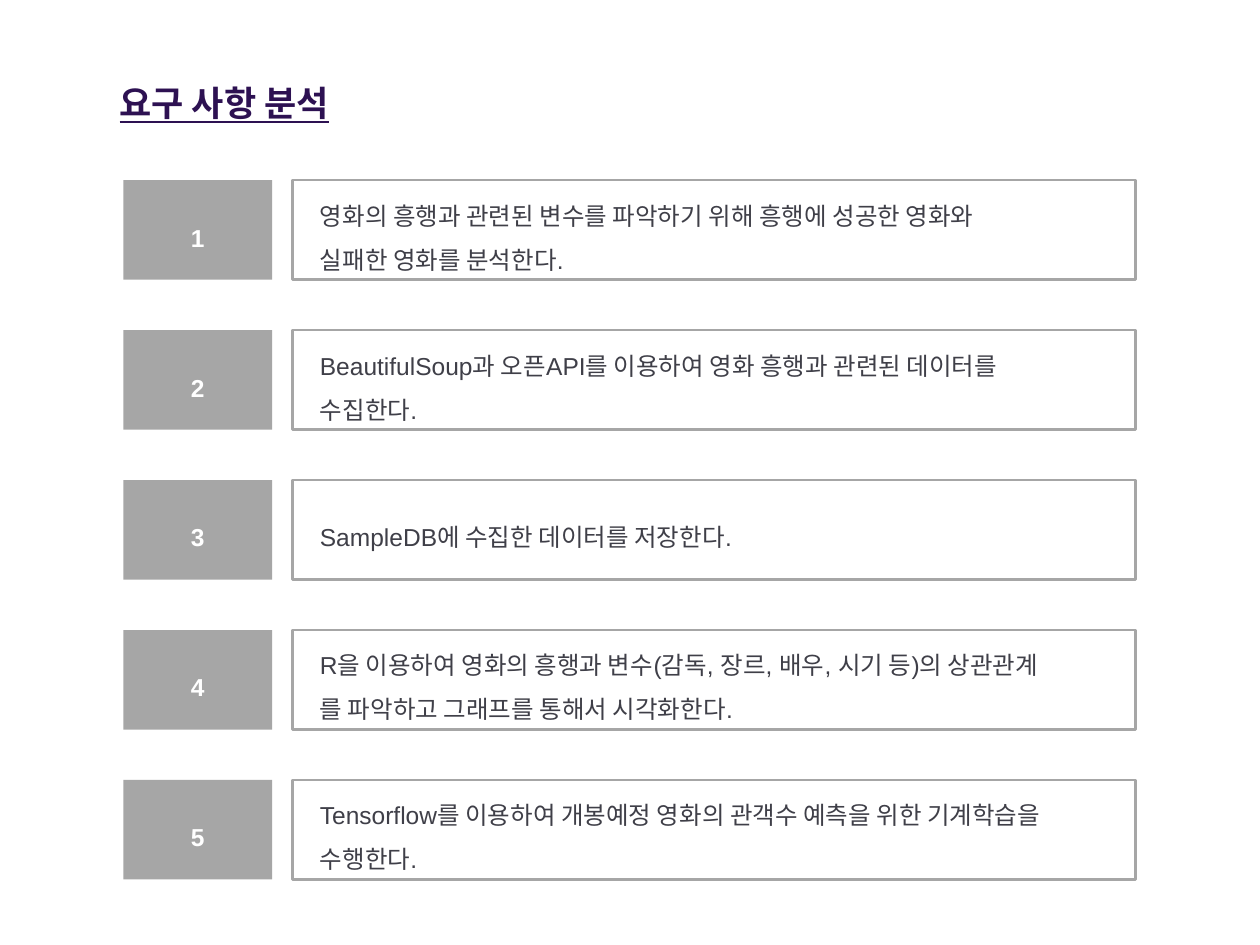
"""Builds the requirements analysis slide with five numbered rows."""
from pptx import Presentation
from pptx.dml.color import RGBColor
from pptx.enum.shapes import MSO_SHAPE
from pptx.enum.text import MSO_ANCHOR, PP_ALIGN
from pptx.util import Inches, Pt

WHITE = RGBColor(0xFF, 0xFF, 0xFF)
GRAY = RGBColor(0xA6, 0xA6, 0xA6)
DARK = RGBColor(0x3F, 0x3F, 0x48)
PURPLE = RGBColor(0x2D, 0x11, 0x52)

FIRST_TOP, ROW_STEP, ROW_HEIGHT = 1.43, 1.19, 0.79

REQUIREMENTS = [
    ["영화의 흥행과 관련된 변수를 파악하기 위해 흥행에 성공한 영화와 ",
     "실패한 영화를 분석한다."],
    ["BeautifulSoup과 오픈API를 이용하여 영화 흥행과 관련된 데이터를 ",
     "수집한다."],
    ["SampleDB에 수집한 데이터를 저장한다."],
    ["R을 이용하여 영화의 흥행과 변수(감독, 장르, 배우, 시기 등)의 상관관계",
     "를 파악하고 그래프를 통해서 시각화한다."],
    ["Tensorflow를 이용하여 개봉예정 영화의 관객수 예측을 위한 기계학습을 ",
     "수행한다."],
]


def write_text(shape, lines, size=14, color=DARK, bold=False, underline=False,
               align=PP_ALIGN.LEFT, spacing=1.5, indent=0, anchor=MSO_ANCHOR.MIDDLE):
    frame = shape.text_frame
    frame.word_wrap = True
    frame.vertical_anchor = anchor
    for index, line in enumerate(lines):
        paragraph = frame.add_paragraph() if index else frame.paragraphs[0]
        paragraph.alignment = align
        paragraph.line_spacing = spacing
        if indent:
            properties = paragraph._p.get_or_add_pPr()
            properties.set("marL", str(Inches(indent)))
            properties.set("indent", "0")
        run = paragraph.add_run()
        run.text = line
        run.font.name = "Arial"
        run.font.size = Pt(size)
        run.font.bold = bold
        run.font.underline = underline
        run.font.color.rgb = color


def add_box(shapes, left, top, width):
    box = shapes.add_shape(MSO_SHAPE.RECTANGLE, Inches(left), Inches(top),
                           Inches(width), Inches(ROW_HEIGHT))
    box.shadow.inherit = False
    return box


presentation = Presentation()
presentation.slide_width = Inches(10)
presentation.slide_height = Inches(7.5)
slide = presentation.slides.add_slide(presentation.slide_layouts[6])

for row, lines in enumerate(REQUIREMENTS):
    top = FIRST_TOP + row * ROW_STEP
    group = slide.shapes.add_group_shape()

    number_box = add_box(group.shapes, 0.98, top, 1.18)
    number_box.fill.solid()
    number_box.fill.fore_color.rgb = GRAY
    number_box.line.fill.background()
    write_text(number_box, [str(row + 1)], color=WHITE, bold=True, align=PP_ALIGN.CENTER)

    requirement_box = add_box(group.shapes, 2.32, top, 6.69)
    requirement_box.fill.background()
    requirement_box.line.color.rgb = GRAY
    requirement_box.line.width = Pt(1.5)
    write_text(requirement_box, lines, indent=0.12)

title = slide.shapes.add_textbox(Inches(0.85), Inches(0.6), Inches(4.82), Inches(0.44))
write_text(title, ["요구 사항 분석"], size=20, color=PURPLE, bold=True, underline=True,
           spacing=1.0, anchor=MSO_ANCHOR.TOP)

presentation.save("out.pptx")
